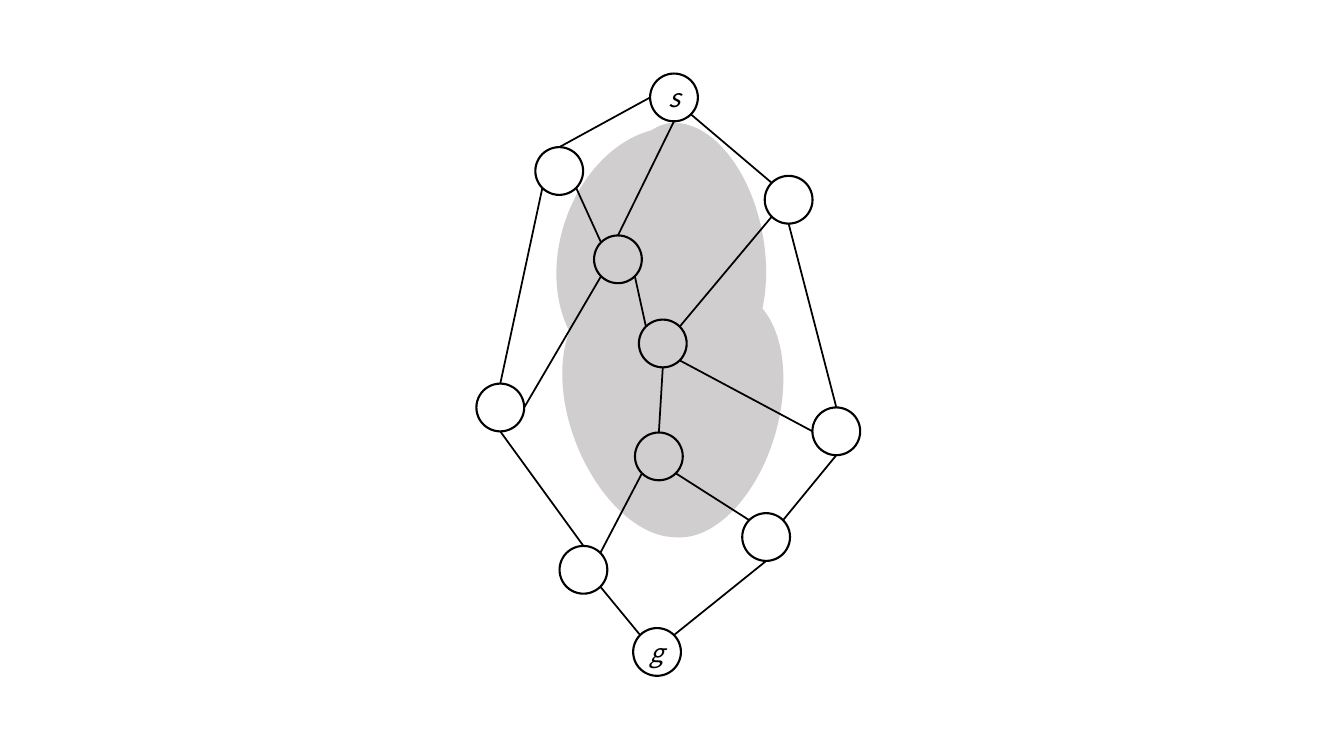
import enum
import math
from typing import NamedTuple

import pptx
import pptx.dml.color
import pptx.enum.shapes
import pptx.enum.text
import pptx.oxml.ns
import pptx.util
from lxml import etree

BLACK = pptx.dml.color.RGBColor(0x00, 0x00, 0x00)
GREY = pptx.dml.color.RGBColor(0xD0, 0xCE, 0xCE)
FONT = "Noto Sans CJK JP"
SHAPE = pptx.enum.shapes.MSO_SHAPE

COLUMNS, ROWS = 133.3, 75
CELL = pptx.util.Inches(0.1)
NODE_SIZE = 4.74


class Side(enum.Enum):
    """Where an edge meets a node, in degrees clockwise from the right."""
    E, SE, S, SW, W, NW, N, NE = range(0, 360, 45)


class Blob(NamedTuple):
    """One part of the grey obstacle, in grid cells."""
    kind: SHAPE
    left: float
    top: float
    width: float
    height: float
    rotation: float = 0


class Node(NamedTuple):
    """A graph node: its centre in grid cells and its label."""
    x: float
    y: float
    label: str = ""


class Edge(NamedTuple):
    """A line from one side of a node to one side of another."""
    start: str
    start_side: Side
    end: str
    end_side: Side


OBSTACLE = [
    Blob(SHAPE.MOON, 56.9, 30.1, 7.4, 25.1, 338.6),
    Blob(SHAPE.MOON, 69.6, 29.6, 7.4, 25.1, 196.5),
    Blob(SHAPE.MOON, 68.3, 11.4, 7.4, 25.1, 169.7),
    Blob(SHAPE.MOON, 55.8, 10.9, 9.3, 25.1, 18.5),
    Blob(SHAPE.OVAL, 58.6, 12.2, 16.4, 40.9),
]

NODES = {
    "start": Node(66.85, 9.67, "s"),
    "upper left": Node(55.47, 16.97),
    "upper right": Node(78.22, 19.82),
    "inner top": Node(61.29, 25.73),
    "inner middle": Node(65.74, 34.08),
    "left": Node(49.62, 40.43),
    "right": Node(82.95, 42.79),
    "inner bottom": Node(65.35, 45.28),
    "lower right": Node(75.99, 53.28),
    "lower left": Node(57.87, 56.53),
    "goal": Node(65.17, 64.68, "g"),
}

EDGES = [
    Edge("start", Side.W, "upper left", Side.N),
    Edge("start", Side.S, "inner top", Side.N),
    Edge("start", Side.SE, "upper right", Side.NW),
    Edge("upper left", Side.SW, "left", Side.N),
    Edge("upper left", Side.SE, "inner top", Side.NW),
    Edge("upper right", Side.SW, "inner middle", Side.NE),
    Edge("upper right", Side.S, "right", Side.N),
    Edge("inner top", Side.SW, "left", Side.E),
    Edge("inner top", Side.SE, "inner middle", Side.NW),
    Edge("inner middle", Side.S, "inner bottom", Side.N),
    Edge("inner middle", Side.SE, "right", Side.W),
    Edge("inner bottom", Side.SW, "lower left", Side.NE),
    Edge("inner bottom", Side.SE, "lower right", Side.NW),
    Edge("left", Side.S, "lower left", Side.N),
    Edge("right", Side.S, "lower right", Side.NE),
    Edge("lower left", Side.SE, "goal", Side.NW),
    Edge("lower right", Side.S, "goal", Side.NE),
]


def cells(*counts: float) -> list[int]:
    """Turn counts of grid cells into slide lengths."""
    return [round(n * CELL) for n in counts]


def rim_point(node: Node, side: Side) -> list[int]:
    """Find the point on a node's rim at the given side."""
    angle = math.radians(side.value)
    radius = NODE_SIZE / 2
    return cells(node.x + radius * math.cos(angle),
                 node.y + radius * math.sin(angle))


def draw_blob(s: pptx.slide.Slide, blob: Blob) -> None:
    """Draw one outline-free part of the obstacle."""
    sp = s.shapes.add_shape(
        blob.kind, *cells(blob.left, blob.top, blob.width, blob.height))
    sp.rotation = blob.rotation
    sp.shadow.inherit = False
    sp.fill.solid()
    sp.fill.fore_color.rgb = GREY
    sp.line.fill.background()


def draw_node(s: pptx.slide.Slide, node: Node) -> None:
    """Draw a hollow circle with its label, if it has one."""
    sp = s.shapes.add_shape(SHAPE.OVAL, *cells(
        node.x - NODE_SIZE / 2, node.y - NODE_SIZE / 2, NODE_SIZE, NODE_SIZE))
    sp.shadow.inherit = False
    sp.fill.background()
    sp.line.color.rgb = BLACK
    sp.line.width = pptx.util.Pt(1.5)
    if not node.label:
        return
    tf = sp.text_frame
    tf.margin_left = tf.margin_right = tf.margin_top = tf.margin_bottom = 0
    tf.vertical_anchor = pptx.enum.text.MSO_ANCHOR.MIDDLE
    p = tf.paragraphs[0]
    p.text = node.label
    p.alignment = pptx.enum.text.PP_ALIGN.CENTER
    p.font.name = FONT
    p.font.size = pptx.util.Pt(18)
    p.font.italic = True
    p.font.color.rgb = BLACK


def draw_edge(s: pptx.slide.Slide, edge: Edge) -> None:
    """Draw a straight line between two nodes."""
    line = s.shapes.add_connector(
        pptx.enum.shapes.MSO_CONNECTOR.STRAIGHT,
        *rim_point(NODES[edge.start], edge.start_side),
        *rim_point(NODES[edge.end], edge.end_side))
    line.line.color.rgb = BLACK
    line.line.width = pptx.util.Pt(1.25)
    etree.SubElement(line._element.spPr, pptx.oxml.ns.qn("a:effectLst"))


def main() -> None:
    """Build the slide and save it."""
    prs = pptx.Presentation()
    prs.slide_width, prs.slide_height = cells(COLUMNS, ROWS)
    s = prs.slides.add_slide(prs.slide_layouts[6])
    for blob in OBSTACLE:
        draw_blob(s, blob)
    for node in NODES.values():
        draw_node(s, node)
    for edge in EDGES:
        draw_edge(s, edge)
    prs.save("out.pptx")


main()
